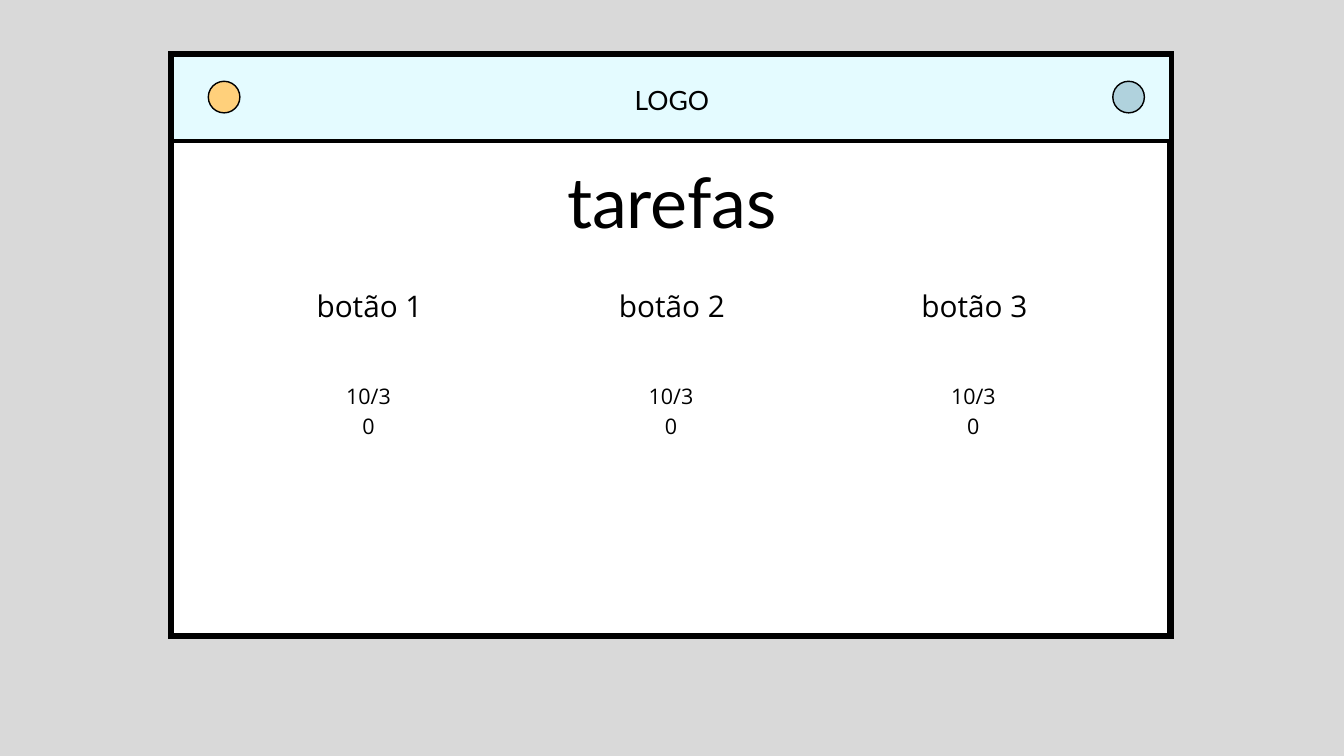
from lxml import etree
from pptx import Presentation
from pptx.dml.color import RGBColor
from pptx.enum.shapes import MSO_SHAPE
from pptx.enum.text import MSO_ANCHOR, MSO_AUTO_SIZE, PP_ALIGN
from pptx.oxml.ns import qn
from pptx.util import Emu, Pt

RECTANGLE = MSO_SHAPE.RECTANGLE
OVAL = MSO_SHAPE.OVAL
TOP = MSO_ANCHOR.TOP
NO_AUTOFIT = MSO_AUTO_SIZE.NONE
CENTER = PP_ALIGN.CENTER

EMU_PER_PX = 9144
TITLE_ONLY = 5
HEADING_FONT = "Lato"
BODY_FONT = "Open Sans"
COLORS = {
    "background": "D9D9D9",
    "panel": "FFFFFF",
    "header": "E4FBFF",
    "left_button": "FFD07B",
    "right_button": "B0D2DD",
    "ink": "000000",
}
BUTTONS = [("botão 1", "10/30"), ("botão 2", "10/30"), ("botão 3", "10/30")]


def px(length):
    """Turn pixels into EMU."""
    return Emu(length * EMU_PER_PX)


def color(name):
    """Look up a named colour."""
    return RGBColor.from_string(COLORS[name])


def add_outlined(slide, kind, box, fill, line_width):
    """Add a filled shape with a black, sharp-cornered outline."""
    shape = slide.shapes.add_shape(kind, *map(px, box))
    shape.shadow.inherit = False
    shape.fill.solid()
    shape.fill.fore_color.rgb = color(fill)
    shape.line.color.rgb = color("ink")
    shape.line.width = Pt(line_width)
    line = shape.element.spPr.find(qn("a:ln"))
    etree.SubElement(line, qn("a:miter")).set("lim", "800000")


def write_text(shape, text, font, size, line_spacing):
    """Write one centred paragraph in a shape without margins."""
    frame = shape.text_frame
    frame.text = text
    frame.word_wrap = True
    frame.auto_size = NO_AUTOFIT
    frame.vertical_anchor = TOP
    frame.margin_left = frame.margin_right = 0
    frame.margin_top = frame.margin_bottom = 0
    paragraph = frame.paragraphs[0]
    paragraph.alignment = CENTER
    paragraph.line_spacing = Pt(line_spacing)
    for run in paragraph.runs:
        run.font.name = font
        run.font.size = Pt(size)
        run.font.color.rgb = color("ink")


def add_label(slide, box, text, font, size, line_spacing):
    """Add a text box with one centred paragraph."""
    label = slide.shapes.add_textbox(*map(px, box))
    write_text(label, text, font, size, line_spacing)


def add_header(slide, left, top, width, height):
    """Add the header bar with its two round buttons and the logo label."""
    add_outlined(slide, RECTANGLE, (left, top, width, height), "header", 4.5)
    for offset, fill in ((54, "left_button"), (1400, "right_button")):
        add_outlined(slide, OVAL, (left + offset, top + 40, 47, 47), fill, 1.5)
    add_label(slide, (left + 682, top + 36, 124, 52),
              "LOGO", HEADING_FONT, 28.4, 39.7)


def place_title(slide, left, top, width, height):
    """Move the title placeholder in front of the panel and fill it."""
    title = slide.shapes.title
    title.element.getparent().append(title.element)
    title.left, title.top = px(left), px(top)
    title.width, title.height = px(width), px(height)
    write_text(title, "tarefas", HEADING_FONT, 75, 104.9)


def add_buttons(slide, left, top, width, pitch):
    """Add a row of columns, each with a button name and its wrapped count."""
    for index, (name, count) in enumerate(BUTTONS):
        column = left + index * pitch
        add_label(slide, (column, top, width, 59), name, BODY_FONT, 31.9, 44.6)
        add_label(slide, (column + 69, top + 145, 81, 43),
                  count, BODY_FONT, 23, 32.2)


def main():
    """Build the task screen and save it."""
    presentation = Presentation()
    presentation.slide_width = px(2000)
    presentation.slide_height = px(1125)
    slide = presentation.slides.add_slide(presentation.slide_layouts[TITLE_ONLY])
    slide.background.fill.solid()
    slide.background.fill.fore_color.rgb = color("background")
    add_outlined(slide, RECTANGLE, (255, 81, 1487, 866), "panel", 6.75)
    add_header(slide, 256, 81, 1487, 129)
    place_title(slide, 377, 215, 1246, 140)
    add_buttons(slide, 439, 419, 222, 450)
    presentation.save("out.pptx")


if __name__ == "__main__":
    main()
